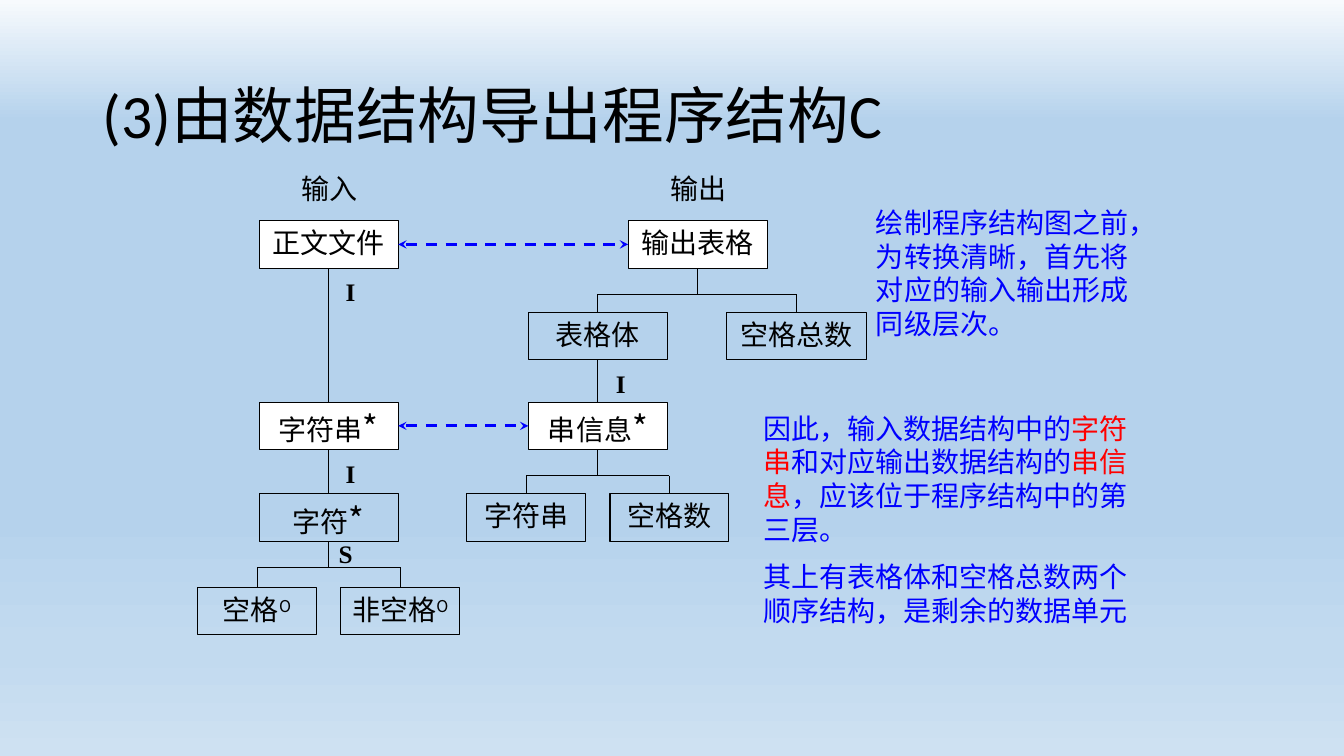
from lxml import etree
from pptx import Presentation
from pptx.dml.color import RGBColor
from pptx.enum import dml, shapes, text
from pptx.oxml import ns
from pptx.util import Inches, Pt

BLACK = RGBColor(0, 0, 0)
WHITE = RGBColor(255, 255, 255)
BLUE = RGBColor(0, 0, 255)
RED = RGBColor(255, 0, 0)
SKY = [(0, RGBColor(0xF7, 0xFA, 0xFD)), (16, RGBColor(0xB5, 0xD2, 0xEC)),
       (71, RGBColor(0xB8, 0xD4, 0xED)), (86, RGBColor(0xC2, 0xDA, 0xEF)),
       (100, RGBColor(0xCE, 0xE1, 0xF2))]
SANS, HAN, SERIF = "Calibri", "Noto Sans CJK SC", "Times New Roman"
WIDE, SLIM, HIGH = 1.38, 1.18, 0.47
ROWS = [0.54, 1.45, 2.34, 3.25, 4.18]  # tops of the levels below a tree's top
DROP = 0.26  # from a parent to the bar of its fork


def sub(parent, tag, **attrs):
    return etree.SubElement(parent, ns.qn(tag), attrs)


def backdrop(slide):
    fill = slide.background.fill
    fill.gradient()
    fill.gradient_angle = 270
    stops = slide.background._cSld.find(".//" + ns.qn("a:gsLst"))
    for old in list(stops):
        stops.remove(old)
    for pos, color in SKY:
        stop = sub(stops, "a:gs", pos=str(pos * 1000))
        sub(stop, "a:srgbClr", val=str(color))


def add_run(para, words, size=20, color=BLACK, face=HAN, bold=None, base=0):
    run = para.add_run()
    run.text = words
    for key, val in {"size": Pt(size), "name": face, "bold": bold}.items():
        setattr(run.font, key, val)
    run.font.color.rgb = color
    props = run._r.get_or_add_rPr()
    sub(props, "a:ea", typeface=HAN)
    if base:
        props.set("baseline", str(base * 1000))


def label(slide, box, paras, align=None, anchor=text.MSO_ANCHOR.TOP, **style):
    """Text box; each paragraph is a list of (words, colour) pairs."""
    frame = slide.shapes.add_textbox(*map(Inches, box)).text_frame
    frame.word_wrap = True
    frame.vertical_anchor = anchor
    for i, parts in enumerate(paras):
        para = frame.add_paragraph() if i else frame.paragraphs[0]
        para.alignment = align
        if i:
            para.space_before = Pt(10)
        for words, color in parts:
            add_run(para, words, color=color, **style)


def node(slide, mid, top, words, mark="", wide=WIDE, fill=None):
    """Box centred on mid; mark is * for a loop or O for a choice."""
    box = slide.shapes.add_shape(
        shapes.MSO_SHAPE.RECTANGLE,
        *map(Inches, (mid - wide / 2, top, wide, HIGH)))
    box.shadow.inherit = False
    if fill is None:
        box.fill.background()
    else:
        box.fill.solid()
        box.fill.fore_color.rgb = fill
    box.line.color.rgb = BLACK
    box.line.width = Pt(0.75)
    frame = box.text_frame
    form = {"margin_left": 0.02, "margin_top": 0.05,
            "margin_right": 0.02, "margin_bottom": 0.01}
    for key, val in form.items():
        setattr(frame, key, Inches(val))
    frame.word_wrap = True
    frame.vertical_anchor = text.MSO_ANCHOR.TOP
    para = frame.paragraphs[0]
    para.alignment = text.PP_ALIGN.CENTER
    add_run(para, words)
    if mark == "*":
        add_run(para, mark, size=24)
    elif mark:
        add_run(para, mark, base=30)
    return box


def wire(slide, start=(0, 0), end=(0, 0), head=None, tail=None,
         color=BLACK, width=0.75):
    """Line between points; head and tail are (box, side) joints."""
    line = slide.shapes.add_connector(
        shapes.MSO_CONNECTOR.STRAIGHT, *start, *end)
    if head:
        line.begin_connect(*head)
    if tail:
        line.end_connect(*tail)
    line.line.color.rgb = color
    line.line.width = Pt(width)
    sub(line._element.spPr, "a:effectLst")
    return line


def fork(slide, top, kids):
    mid = top.left + top.width // 2
    bar = top.top + top.height + Inches(DROP)
    ends = [kid.left + kid.width // 2 for kid in kids]
    wire(slide, end=(mid, bar), head=(top, 2))
    wire(slide, (ends[0], bar), (ends[-1], bar))
    for kid, end in zip(kids, ends):
        wire(slide, (end, bar), tail=(kid, 0))


def match(slide, left, right):
    """Dashed two-way arrow between matching levels."""
    line = wire(slide, head=(left, 3), tail=(right, 1), color=BLUE, width=2)
    line.line.dash_style = dml.MSO_LINE.DASH
    props = line.line._get_or_add_ln()
    for tag in ("a:headEnd", "a:tailEnd"):
        sub(props, tag, type="stealth")


def sign(slide, x, y, letter):
    label(slide, (x, y, 0.5, 0.4), [[(letter, BLACK)]],
          size=18, face=SERIF, bold=True)


def caption(slide, mid, top, words):
    label(slide, (mid - 0.66, top, 1.33, 0.44), [[(words, BLACK)]],
          align=text.PP_ALIGN.CENTER)


def in_tree(slide, mid, top):
    rows = [top + row for row in ROWS]
    caption(slide, mid, top, "输入")
    root = node(slide, mid, rows[0], "正文文件", fill=WHITE)
    word = node(slide, mid, rows[2], "字符串", "*", fill=WHITE)
    char = node(slide, mid, rows[3], "字符", "*")
    kids = [node(slide, mid + dx, rows[4], words, "O", SLIM)
            for dx, words in ((-0.71, "空格"), (0.71, "非空格"))]
    wire(slide, head=(root, 2), tail=(word, 0))
    wire(slide, head=(word, 2), tail=(char, 0))
    fork(slide, char, kids)
    sign(slide, mid + 0.07, rows[0] + 0.5, "I")
    sign(slide, mid + 0.07, rows[2] + 0.51, "I")
    sign(slide, mid, rows[3] + 0.39, "S")
    return root, word


def out_tree(slide, mid, top):
    rows = [top + row for row in ROWS]
    side = mid - 0.99
    caption(slide, mid, top, "输出")
    root = node(slide, mid, rows[0], "输出表格", fill=WHITE)
    body = node(slide, side, rows[1], "表格体")
    total = node(slide, mid + 0.98, rows[1], "空格总数")
    info = node(slide, side, rows[2], "串信息", "*", fill=WHITE)
    kids = [node(slide, side + dx, rows[3], words, wide=SLIM)
            for dx, words in ((-0.71, "字符串"), (0.71, "空格数"))]
    fork(slide, root, [body, total])
    wire(slide, head=(body, 2), tail=(info, 0))
    fork(slide, info, kids)
    sign(slide, side + 0.08, rows[1] + 0.5, "I")
    return root, info


def notes(slide, right, top):
    label(slide, (right - 2.76, top, 2.76, 1.45),
          [[("绘制程序结构图之前，为转换清晰，首先将对应的输入输出形成同级层次。", BLUE)]])
    label(slide, (right - 3.88, top + 2.04, 3.88, 2.79), [
        [("因此，输入数据结构中的", BLUE), ("字符串", RED),
         ("和对应输出数据结构的", BLUE), ("串信息", RED),
         ("，应该位于程序结构中的第三层。", BLUE)],
        [("其上有表格体和空格总数两个顺序结构，是剩余的数据单元", BLUE)]])


def main():
    deck = Presentation()
    deck.slide_width, deck.slide_height = Inches(13.33), Inches(7.5)
    slide = deck.slides.add_slide(deck.slide_layouts[6])
    backdrop(slide)
    label(slide, (0.92, 0.4, 11.5, 1.45), [[("(3)由数据结构导出程序结构C", BLACK)]],
          anchor=text.MSO_ANCHOR.MIDDLE, size=44, face=SANS)
    pairs = zip(in_tree(slide, 3.26, 1.65), out_tree(slide, 6.92, 1.65))
    for left, right in pairs:
        match(slide, left, right)
    notes(slide, 11.35, 1.99)
    deck.save("out.pptx")


if __name__ == "__main__":
    main()
